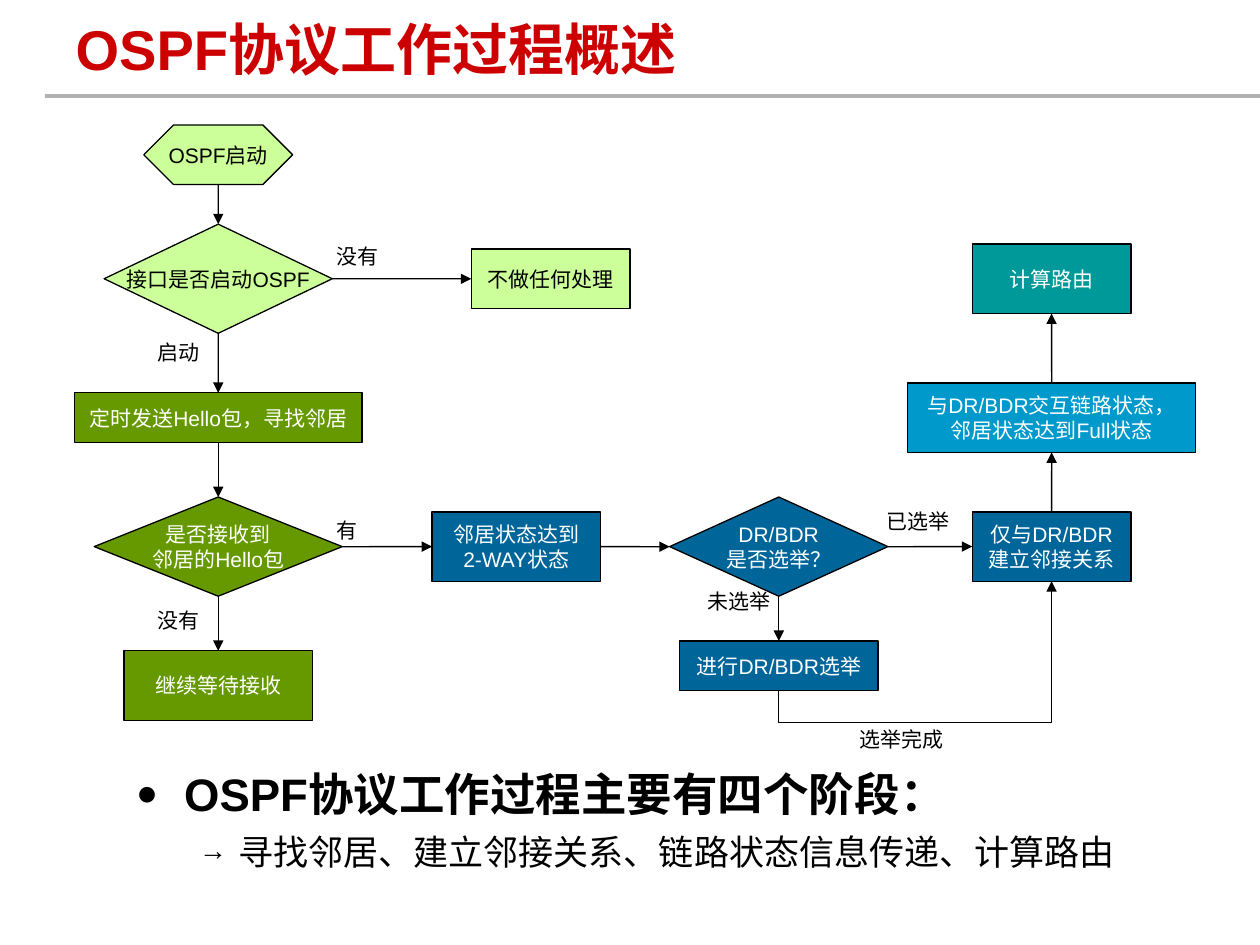
from lxml import etree
from pptx import Presentation
from pptx.dml.color import RGBColor
from pptx.enum import shapes, text
from pptx.oxml import ns
from pptx.util import Cm, Pt

BLACK = RGBColor(0x00, 0x00, 0x00)
WHITE = RGBColor(0xFF, 0xFF, 0xFF)
RED = RGBColor(0xCC, 0x00, 0x00)
GRAY = RGBColor(0xB2, 0xB2, 0xB2)
LIME = RGBColor(0xCC, 0xFF, 0x99)
GREEN = RGBColor(0x66, 0x99, 0x00)
NAVY = RGBColor(0x00, 0x66, 0x99)
SKY = RGBColor(0x00, 0x99, 0xCC)
TEAL = RGBColor(0x00, 0x99, 0x99)


def add_run(p, words, size, color, bold=False):
    r = p.add_run()
    r.text = words
    r.font.name = "Arial"
    r.font.size = Pt(size)
    r.font.bold = bold
    r.font.color.rgb = color


def style_line(cn, color, width, arrow=True):
    cn.line.color.rgb = color
    cn.line.width = Pt(width)
    if arrow:
        etree.SubElement(cn.line._get_or_add_ln(), ns.qn("a:tailEnd"), type="triangle")
    etree.SubElement(cn._element.spPr, ns.qn("a:effectLst"))


prs = Presentation()
prs.slide_width, prs.slide_height = Cm(25.4), Cm(19.05)
s = prs.slides.add_slide(prs.slide_layouts[1])

# Title and the rule under it
title = s.shapes.title
title.left, title.top, title.width, title.height = Cm(1.27), Cm(0.13), Cm(20.12), Cm(1.7)
tf = title.text_frame
tf.auto_size = text.MSO_AUTO_SIZE.NONE
tf.vertical_anchor = text.MSO_ANCHOR.MIDDLE
p = tf.paragraphs[0]
p.alignment = text.PP_ALIGN.LEFT
add_run(p, "OSPF协议工作过程概述", 32, RED, True)
rule = s.shapes.add_connector(shapes.MSO_CONNECTOR.STRAIGHT, Cm(0.9), Cm(1.93), Cm(25.4), Cm(1.93))
style_line(rule, GRAY, 2.25, arrow=False)

# Flowchart nodes: kind, centre x, centre y, width, height, fill, lines
PREP = shapes.MSO_SHAPE.FLOWCHART_PREPARATION
ASK = shapes.MSO_SHAPE.FLOWCHART_DECISION
STEP = shapes.MSO_SHAPE.FLOWCHART_PROCESS
X1, X2, X3, X4 = 4.4, 10.41, 15.7, 21.2
nodes = {
    "start": (PREP, X1, 3.12, 3, 1.2, LIME, ["OSPF启动"]),
    "enabled": (ASK, X1, 5.62, 4.6, 2.2, LIME, ["接口是否启动OSPF"]),
    "ignore": (STEP, 11.1, 5.62, 3.2, 1.2, LIME, ["不做任何处理"]),
    "hello": (STEP, X1, 8.42, 5.8, 1, GREEN, ["定时发送Hello包，寻找邻居"]),
    "received": (ASK, X1, 11.02, 5, 2, GREEN, ["是否接收到", "邻居的Hello包"]),
    "wait": (STEP, X1, 13.82, 3.8, 1.4, GREEN, ["继续等待接收"]),
    "two_way": (STEP, X2, 11.02, 3.4, 1.4, NAVY, ["邻居状态达到", "2-WAY状态"]),
    "elected": (ASK, X3, 11.02, 4.4, 2, NAVY, ["DR/BDR", "是否选举？"]),
    "elect": (STEP, X3, 13.42, 4, 1, NAVY, ["进行DR/BDR选举"]),
    "adjacent": (STEP, X4, 11.02, 3.2, 1.4, NAVY, ["仅与DR/BDR", "建立邻接关系"]),
    "full": (STEP, X4, 8.42, 5.8, 1.4, SKY, ["与DR/BDR交互链路状态，", "邻居状态达到Full状态"]),
    "routes": (STEP, X4, 5.62, 3.2, 1.4, TEAL, ["计算路由"]),
}
boxes = {}
for name, (kind, x, y, w, h, fill, lines) in nodes.items():
    sp = s.shapes.add_shape(kind, Cm(x - w / 2), Cm(y - h / 2), Cm(w), Cm(h))
    sp.shadow.inherit = False
    sp.fill.solid()
    sp.fill.fore_color.rgb = fill
    sp.line.color.rgb = BLACK
    sp.line.width = Pt(0.75)
    tf = sp.text_frame
    tf.word_wrap = False
    tf.vertical_anchor = text.MSO_ANCHOR.MIDDLE
    for i, words in enumerate(lines):
        p = tf.add_paragraph() if i else tf.paragraphs[0]
        p.alignment = text.PP_ALIGN.CENTER
        add_run(p, words, 12, BLACK if fill == LIME else WHITE)
    boxes[name] = sp

# Straight arrows between connection sites
TOP, LEFT, BOTTOM, RIGHT = range(4)
for a, a_site, b, b_site in [
    ("start", BOTTOM, "enabled", TOP),
    ("enabled", RIGHT, "ignore", LEFT),
    ("enabled", BOTTOM, "hello", TOP),
    ("hello", BOTTOM, "received", TOP),
    ("received", RIGHT, "two_way", LEFT),
    ("received", BOTTOM, "wait", TOP),
    ("two_way", RIGHT, "elected", LEFT),
    ("elected", RIGHT, "adjacent", LEFT),
    ("elected", BOTTOM, "elect", TOP),
    ("adjacent", TOP, "full", BOTTOM),
    ("full", TOP, "routes", BOTTOM),
]:
    cn = s.shapes.add_connector(shapes.MSO_CONNECTOR.STRAIGHT, 0, 0, 0, 0)
    cn.begin_connect(boxes[a], a_site)
    cn.end_connect(boxes[b], b_site)
    style_line(cn, BLACK, 0.75)

# Elbow arrow from the election up to the adjacency, turned a quarter
y1, y2 = 13.92, 11.72
rise, run, drop = y1 - y2, X4 - X3, 0.64
mid_x, mid_y = (X3 + X4) / 2, (y1 + y2) / 2
cn = s.shapes.add_connector(
    shapes.MSO_CONNECTOR.ELBOW,
    Cm(mid_x + rise / 2), Cm(mid_y + run / 2), Cm(mid_x - rise / 2), Cm(mid_y - run / 2))
spPr = cn._element.spPr
spPr.find(ns.qn("a:xfrm")).set("rot", "5400000")
guides = spPr.find(ns.qn("a:prstGeom")).find(ns.qn("a:avLst"))
etree.SubElement(guides, ns.qn("a:gd"), name="adj1", fmla=f"val {round(-drop / rise * 100000)}")
style_line(cn, BLACK, 0.75)

# Branch labels: left, top, width
for words, x, y, w in [
    ("没有", 6.1, 4.78, 2.2),
    ("启动", 2.9, 6.73, 1.4),
    ("没有", 2.49, 12.12, 2.2),
    ("有", 6.3, 10.31, 1.4),
    ("未选举", 13.89, 11.73, 2),
    ("已选举", 17.5, 10.13, 2),
    ("选举完成", 16.48, 14.53, 3.4),
]:
    tf = s.shapes.add_textbox(Cm(x), Cm(y), Cm(w), Cm(0.76)).text_frame
    tf.word_wrap = True
    p = tf.paragraphs[0]
    p.alignment = text.PP_ALIGN.CENTER
    add_run(p, words, 12, BLACK)

# Summary list
body = s.placeholders[1]
body.left, body.top, body.width, body.height = Cm(2.49), Cm(15.52), Cm(20.4), Cm(2.59)
tf = body.text_frame
tf.auto_size = text.MSO_AUTO_SIZE.NONE
for level, (words, bullet, size, bold, margin, hang, before, after) in enumerate([
    ("OSPF协议工作过程主要有四个阶段：", "●", 26, True, 0.97, 0.97, 0, 8.1),
    ("寻找邻居、建立邻接关系、链路状态信息传递、计算路由", "→", 20, False, 2.06, 0.79, 2.5, 6.2),
]):
    p = tf.add_paragraph() if level else tf.paragraphs[0]
    p.level = level
    pPr = p._p.get_or_add_pPr()
    pPr.set("marL", str(Cm(margin)))
    pPr.set("indent", str(-Cm(hang)))
    color = etree.SubElement(pPr, ns.qn("a:buClr"))
    etree.SubElement(color, ns.qn("a:srgbClr"), val=str(BLACK))
    etree.SubElement(pPr, ns.qn("a:buSzPct"), val="80000")
    etree.SubElement(pPr, ns.qn("a:buFont"), typeface="Arial")
    etree.SubElement(pPr, ns.qn("a:buChar"), char=bullet)
    p.line_spacing = 0.8
    p.space_before = Pt(before)
    p.space_after = Pt(after)
    add_run(p, words, size, BLACK, bold)

prs.save("out.pptx")
